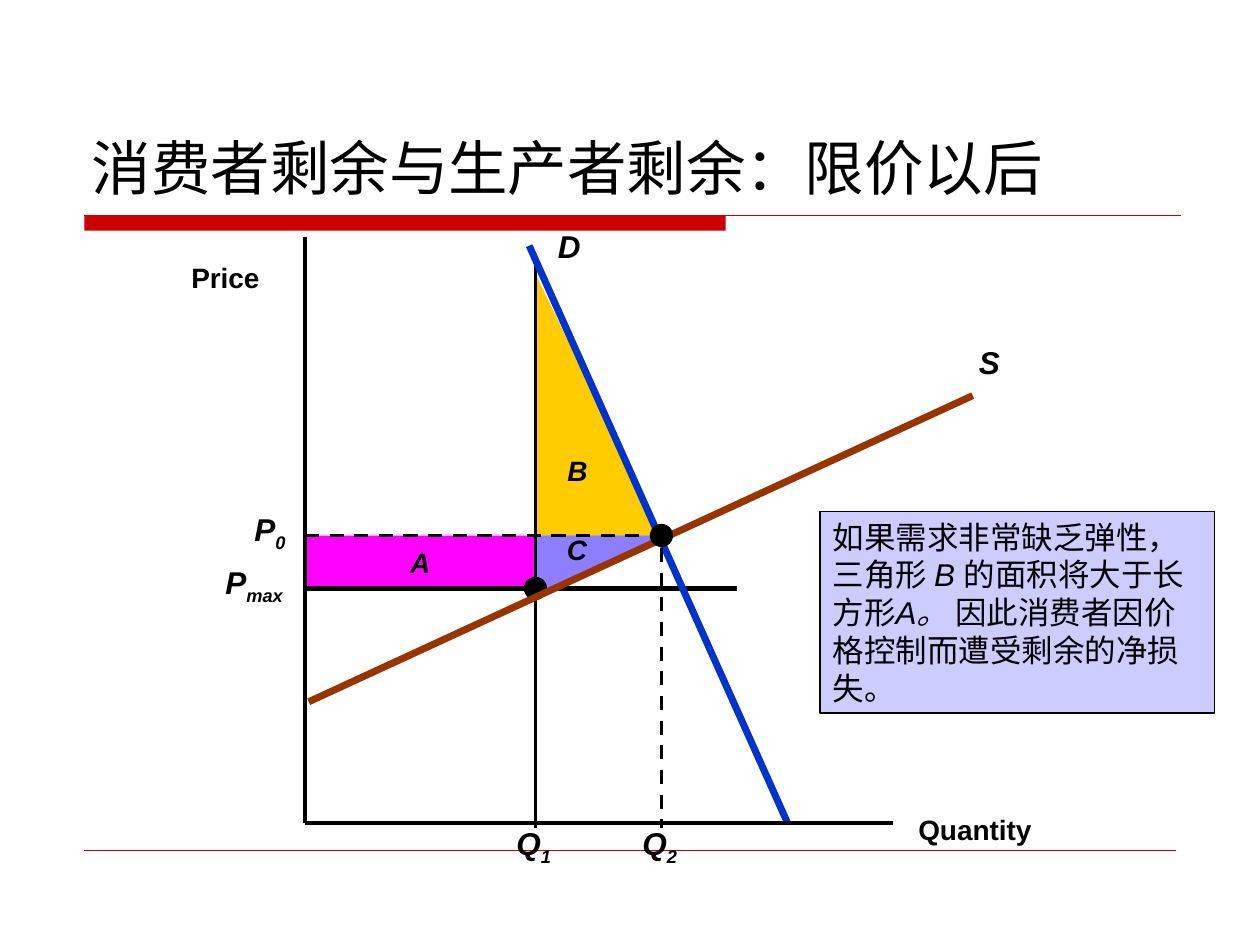
import pptx
import pptx.dml.color
import pptx.enum.dml
import pptx.enum.shapes
import pptx.enum.text
import pptx.oxml.ns
import pptx.util
from dataclasses import dataclass
from typing import Any
from lxml import etree

Inches = pptx.util.Inches
Shape = pptx.enum.shapes.MSO_SHAPE
Anchor = pptx.enum.text.MSO_ANCHOR
Align = pptx.enum.text.PP_ALIGN
AutoSize = pptx.enum.text.MSO_AUTO_SIZE

COLORS = {
    "ink": "000000", "accent": "CC0000", "demand": "0033CC", "supply": "993300",
    "gain": "FF00FF", "loss_b": "FFCC00", "loss_c": "8D7DFF", "note": "CCCCFF",
}
AXIS_X, AXIS_Y = 2.42, 6.53
Q1_X, Q2_X = 4.25, 5.25
P0_Y, PMAX_Y = 4.25, 4.67
DROP_Y = 6.57
DOT = 0.17


@dataclass
class Piece:
    text: str
    bold: bool = True
    italic: bool = True
    subscript: bool = False


@dataclass
class Line:
    x1: float
    y1: float
    x2: float
    y2: float
    color: str = "ink"
    weight: float = 2
    dashed: bool = False


@dataclass
class Area:
    left: float
    top: float
    width: float
    height: float
    fill: str
    kind: Any = Shape.RECTANGLE
    rotation: int = 0
    outline: bool = False


@dataclass
class Label:
    left: float
    top: float
    width: float
    height: float
    pieces: list[Piece]
    size: int = 18


def rgb(name: str) -> pptx.dml.color.RGBColor:
    return pptx.dml.color.RGBColor.from_string(COLORS[name])


def apply(target: Any, values: dict[str, Any]) -> None:
    for name, value in values.items():
        setattr(target, name, value)


def write(frame: Any, pieces: list[Piece], size: int, font: str = "Arial") -> Any:
    paragraph = frame.paragraphs[0]
    for piece in pieces:
        run = paragraph.add_run()
        run.text = piece.text
        apply(run.font, {"name": font, "size": pptx.util.Pt(size),
                         "bold": piece.bold, "italic": piece.italic})
        run.font.color.rgb = rgb("ink")
        if piece.subscript:
            run.font._element.set("baseline", "-25000")
    return paragraph


def draw_line(slide: Any, line: Line) -> None:
    connector = slide.shapes.add_connector(
        pptx.enum.shapes.MSO_CONNECTOR.STRAIGHT,
        *map(Inches, (line.x1, line.y1, line.x2, line.y2)))
    connector.line.color.rgb = rgb(line.color)
    connector.line.width = pptx.util.Pt(line.weight)
    if line.dashed:
        connector.line.dash_style = pptx.enum.dml.MSO_LINE.DASH
    etree.SubElement(connector._element.spPr, pptx.oxml.ns.qn("a:effectLst"))


def draw_area(slide: Any, area: Area) -> Any:
    shape = slide.shapes.add_shape(
        area.kind, *map(Inches, (area.left, area.top, area.width, area.height)))
    apply(shape, {"rotation": area.rotation})
    shape.shadow.inherit = False
    shape.fill.solid()
    shape.fill.fore_color.rgb = rgb(area.fill)
    if area.outline:
        shape.line.color.rgb = rgb("ink")
        shape.line.width = pptx.util.Pt(1)
    else:
        shape.line.fill.background()
    return shape


def draw_lettered_area(slide: Any, area: Area, letter: str) -> None:
    frame = draw_area(slide, area).text_frame
    apply(frame, {"word_wrap": False, "vertical_anchor": Anchor.MIDDLE})
    write(frame, [Piece(letter)], 16).alignment = Align.CENTER


def draw_dot(slide: Any, x: float, y: float) -> None:
    draw_area(slide, Area(x - DOT / 2, y - DOT / 2, DOT, DOT, "ink", Shape.OVAL, outline=True))


def draw_label(slide: Any, label: Label) -> None:
    box = slide.shapes.add_textbox(
        *map(Inches, (label.left, label.top, label.width, label.height)))
    apply(box.text_frame, {"word_wrap": False, "auto_size": AutoSize.SHAPE_TO_FIT_TEXT})
    write(box.text_frame, label.pieces, label.size)


def indexed(letter: str, index: str) -> list[Piece]:
    return [Piece(letter), Piece(index, subscript=True)]


def draw_title(slide: Any) -> None:
    title = slide.shapes.title
    apply(title, {"left": Inches(0.63), "top": Inches(0.33),
                  "width": Inches(8.75), "height": Inches(1.33)})
    apply(title.text_frame, {"vertical_anchor": Anchor.BOTTOM, "word_wrap": True,
                             "auto_size": AutoSize.NONE})
    heading = [Piece("消费者剩余与生产者剩余：限价以后", bold=False, italic=False)]
    write(title.text_frame, heading, 34, "DejaVu Sans").alignment = Align.LEFT


def draw_note(slide: Any) -> None:
    frame = draw_area(slide, Area(6.51, 4.06, 3.13, 1.6, "note", outline=True)).text_frame
    apply(frame, {"word_wrap": True, "vertical_anchor": Anchor.TOP})
    wording = [
        ("如果需求非常缺乏弹性，三角形 ", False), ("B ", True),
        ("的面积将大于长方形", False), ("A。 ", True),
        ("因此消费者因价格控制而遭受剩余的净损失。", False),
    ]
    pieces = [Piece(text, bold=False, italic=italic) for text, italic in wording]
    write(frame, pieces, 18).alignment = Align.LEFT


def draw_surplus(slide: Any) -> None:
    quantity_gap = Q2_X - Q1_X
    draw_lettered_area(slide, Area(Q1_X, 2.17, quantity_gap, P0_Y - 2.17, "loss_b",
                                   Shape.RIGHT_TRIANGLE), "B")
    draw_lettered_area(slide, Area(AXIS_X, P0_Y, Q1_X - AXIS_X, PMAX_Y - P0_Y, "gain"), "A")
    draw_line(slide, Line(AXIS_X, PMAX_Y, 5.85, PMAX_Y, weight=3))
    draw_label(slide, Label(1.69, 4.42, 0.66, 0.44, indexed("P", "max")))
    draw_area(slide, Area(4.5, 4, 0.5, quantity_gap, "loss_c", Shape.RIGHT_TRIANGLE, 90))
    draw_label(slide, Label(4.4, 4.18, 0.36, 0.36, [Piece("C")], 16))
    draw_line(slide, Line(Q1_X, 2.1, Q1_X, DROP_Y))
    draw_dot(slide, Q1_X, PMAX_Y)


def draw_curves_and_axes(slide: Any) -> None:
    for line in (
        Line(2.45, 5.57, 7.72, 3.14, "supply", 4),
        Line(4.2, 1.95, 6.25, AXIS_Y, "demand", 4),
        Line(AXIS_X, 1.88, AXIS_X, AXIS_Y),
        Line(AXIS_X, AXIS_Y, 7.09, AXIS_Y),
        Line(AXIS_X, P0_Y, Q2_X, P0_Y, dashed=True),
        Line(Q2_X, 4.35, Q2_X, DROP_Y, dashed=True),
    ):
        draw_line(slide, line)
    draw_dot(slide, Q2_X, P0_Y)
    for label in (
        Label(7.67, 2.67, 0.37, 0.4, [Piece("S")]),
        Label(4.33, 1.75, 0.38, 0.4, [Piece("D")]),
        Label(7.19, 6.4, 1.1, 0.36, [Piece("Quantity", italic=False)], 16),
        Label(1.42, 2.02, 0.74, 0.36, [Piece("Price", italic=False)], 16),
        Label(1.92, 4, 0.45, 0.44, indexed("P", "0")),
        Label(Q1_X - 0.25, 6.49, 0.5, 0.44, indexed("Q", "1")),
        Label(Q2_X - 0.25, 6.49, 0.5, 0.44, indexed("Q", "2")),
    ):
        draw_label(slide, label)


def main() -> None:
    deck = pptx.Presentation()
    apply(deck, {"slide_width": Inches(10), "slide_height": Inches(7.5)})
    slide = deck.slides.add_slide(deck.slide_layouts[5])
    draw_title(slide)
    draw_area(slide, Area(0.67, 1.71, 5.09, 0.12, "accent"))
    draw_line(slide, Line(0.67, 1.71, 9.37, 1.71, "accent", 1))
    draw_line(slide, Line(0.67, 6.75, 9.33, 6.75, "accent", 0.25))
    draw_surplus(slide)
    draw_note(slide)
    draw_curves_and_axes(slide)
    deck.save("out.pptx")


if __name__ == "__main__":
    main()
